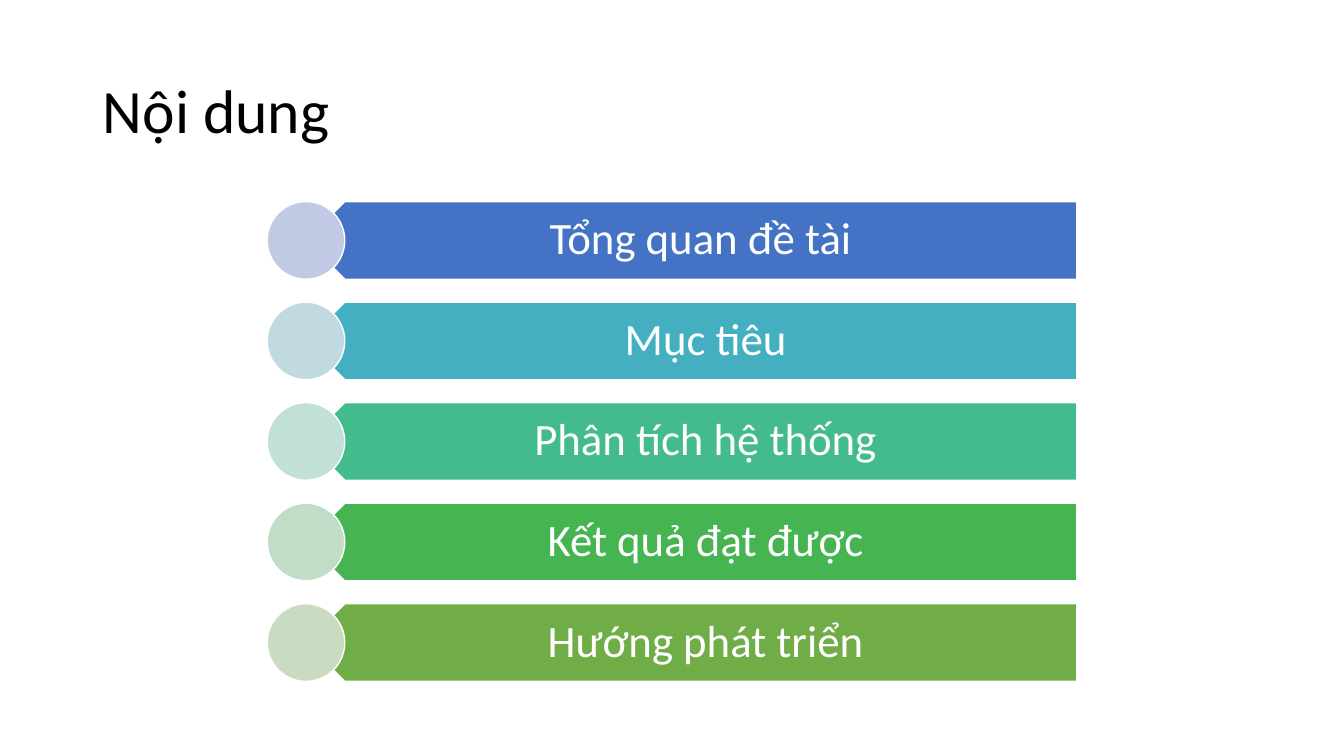
"""Build the agenda slide: a title above five coloured banners."""
from dataclasses import dataclass

from pptx import Presentation
from pptx import util as u
from pptx.dml.color import RGBColor
from pptx.enum import shapes, text


@dataclass(frozen=True)
class Theme:
    """Colours, font and type sizes of the slide."""
    font: str = "Calibri"
    title_size: int = 44
    banner_size: int = 32
    dark: str = "000000"
    light: str = "FFFFFF"


@dataclass(frozen=True)
class Box:
    """A region of the slide in inches."""
    left: float
    top: float
    width: float
    height: float

    def lengths(self):
        """Return the four sides as slide lengths."""
        return [u.Inches(side) for side in (self.left, self.top, self.width, self.height)]


THEME = Theme()
TOPICS = [
    ("Tổng quan đề tài ", "4472C4", "C1C9E4"),
    ("Mục tiêu", "43AFC0", "C1DAE2"),
    ("Phân tích hệ thống", "43BB8D", "C1E0D7"),
    ("Kết quả đạt được", "45B451", "C1DDC7"),
    ("Hướng phát triển", "70AD47", "C9DBC1"),
]


def write_text(frame, words, size, color, alignment):
    """Write one line, centred vertically, into a text frame."""
    frame.word_wrap = True
    frame.auto_size = text.MSO_AUTO_SIZE.NONE
    frame.vertical_anchor = text.MSO_ANCHOR.MIDDLE
    paragraph = frame.paragraphs[0]
    paragraph.alignment = alignment
    paragraph.line_spacing = 0.9
    run = paragraph.add_run()
    run.text = words
    run.font.name = THEME.font
    run.font.size = u.Pt(size)
    run.font.color.rgb = RGBColor.from_string(color)


def add_title(slide, box, words):
    """Place and fill the title placeholder."""
    title = slide.shapes.title
    title.left, title.top, title.width, title.height = box.lengths()
    write_text(title.text_frame, words, THEME.title_size, THEME.dark, text.PP_ALIGN.LEFT)


def add_filled_shape(group, kind, box, fill):
    """Add a flat shape with a thin light outline."""
    shape = group.shapes.add_shape(kind, *box.lengths())
    shape.shadow.inherit = False
    shape.fill.solid()
    shape.fill.fore_color.rgb = RGBColor.from_string(fill)
    shape.line.color.rgb = RGBColor.from_string(THEME.light)
    shape.line.width = u.Pt(1)
    return shape


def add_banner(group, box, words, banner_color, circle_color):
    """Draw a left-pointing banner with its label and circle."""
    size = box.height
    plate_box = Box(box.left + size / 2, box.top, box.width - size / 2, size)
    plate = add_filled_shape(group, shapes.MSO_SHAPE.PENTAGON, plate_box, banner_color)
    plate.rotation = 180

    label_inset = size / 4
    label_box = Box(plate_box.left + label_inset, box.top, plate_box.width - label_inset, size)
    frame = group.shapes.add_textbox(*label_box.lengths()).text_frame
    frame.margin_left, frame.margin_right = u.Inches(0.34), u.Inches(0.25)
    frame.margin_top = frame.margin_bottom = u.Inches(0.13)
    write_text(frame, words, THEME.banner_size, THEME.light, text.PP_ALIGN.CENTER)

    circle_box = Box(box.left, box.top, size, size)
    add_filled_shape(group, shapes.MSO_SHAPE.OVAL, circle_box, circle_color)


def add_agenda(slide, box, topics, banner_height):
    """Spread the topic banners evenly over the box."""
    group = slide.shapes.add_group_shape()
    pitch = (box.height - banner_height) / (len(topics) - 1)
    for index, topic in enumerate(topics):
        row = Box(box.left, box.top + index * pitch, box.width, banner_height)
        add_banner(group, row, *topic)


def main():
    """Build and save the presentation."""
    presentation = Presentation()
    presentation.slide_width = u.Inches(13.33)
    presentation.slide_height = u.Inches(7.5)
    slide = presentation.slides.add_slide(presentation.slide_layouts.get_by_name("Title Only"))
    add_title(slide, Box(0.92, 0.4, 11.5, 1.45), "Nội dung")
    add_agenda(slide, Box(2.65, 2, 8.03, 4.76), TOPICS, 0.77)
    presentation.save("out.pptx")


if __name__ == "__main__":
    main()
